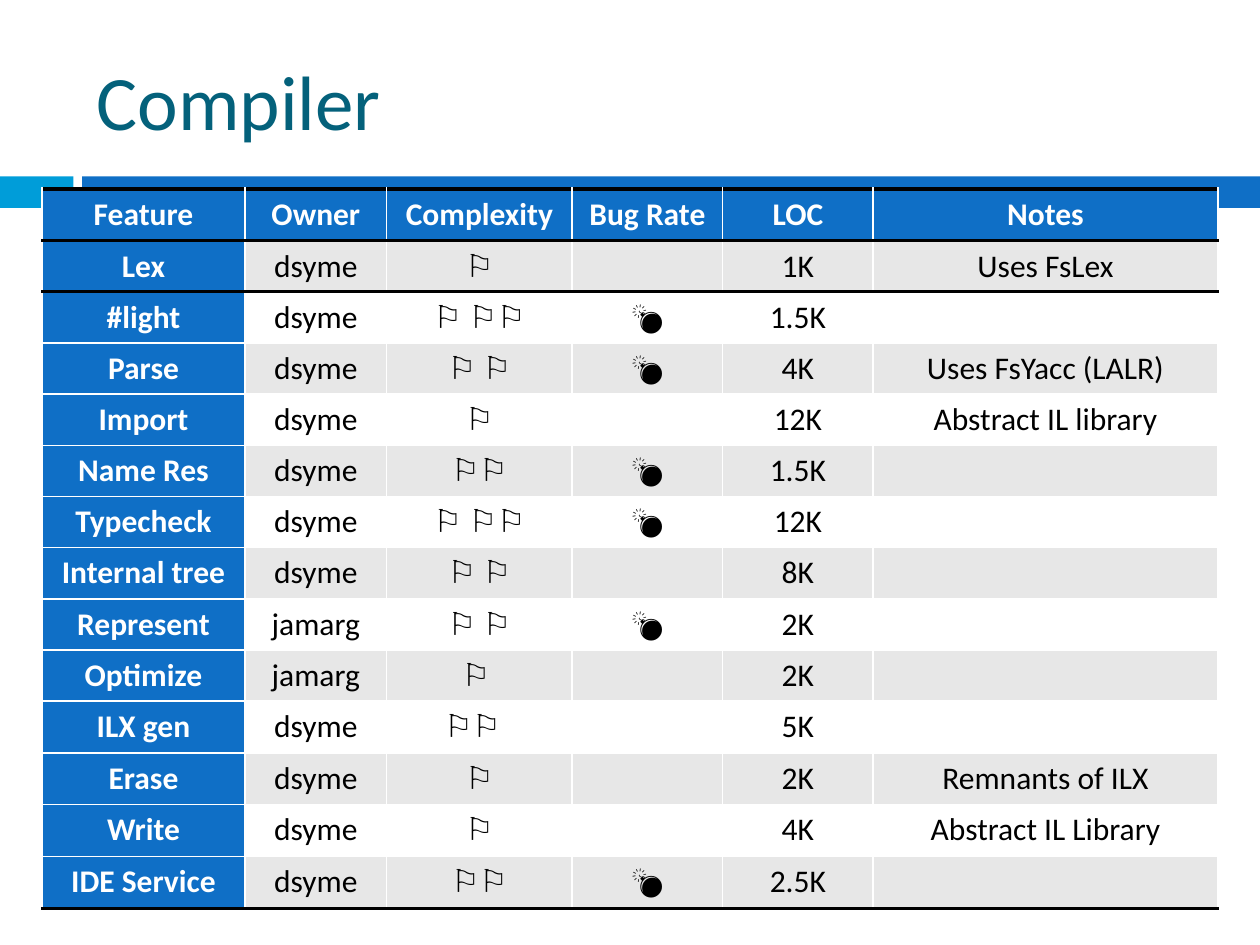
import pptx
import pptx.util
import pptx.dml.color
import pptx.enum.shapes
import pptx.enum.text
import pptx.oxml
import pptx.oxml.ns

Pt = pptx.util.Pt
RGBColor = pptx.dml.color.RGBColor
PP_ALIGN = pptx.enum.text.PP_ALIGN
MSO_ANCHOR = pptx.enum.text.MSO_ANCHOR

BLUE = RGBColor(0x0F, 0x6F, 0xC6)
CYAN = RGBColor(0x00, 0x9D, 0xD9)
TEAL = RGBColor(0x04, 0x61, 0x7B)
GREY = RGBColor(0xE7, 0xE7, 0xE7)
WHITE = RGBColor(0xFF, 0xFF, 0xFF)
BLACK = RGBColor(0x00, 0x00, 0x00)
FONT = "Calibri"

COLUMN_WIDTHS = [116, 81, 106, 86, 86, 197]
TALL_ROW, SHORT_ROW = 29.6, 29.25
TALL_ROWS = {0, 10, 11, 12, 13}
CELL_MARGIN = 7.2
# Extra right margin for flags set slightly left of centre
FLAG_NUDGES = {"Optimize": 4, "ILX gen": 8}

ROWS = [
    ("Feature", "Owner", "Complexity", "Bug Rate", "LOC", "Notes"),
    ("Lex", "dsyme", "⚐", "", "1K", "Uses FsLex"),
    ("#light", "dsyme", "⚐ ⚐⚐", "💣", "1.5K", ""),
    ("Parse", "dsyme", "⚐ ⚐", "💣", "4K", "Uses FsYacc (LALR)"),
    ("Import", "dsyme", "⚐", "", "12K", "Abstract IL library"),
    ("Name Res", "dsyme", "⚐⚐", "💣", "1.5K", ""),
    ("Typecheck", "dsyme", "⚐ ⚐⚐", "💣", "12K", ""),
    ("Internal tree", "dsyme", "⚐ ⚐", "", "8K", ""),
    ("Represent", "jamarg", "⚐ ⚐", "💣", "2K", ""),
    ("Optimize", "jamarg", "⚐", "", "2K", ""),
    ("ILX gen", "dsyme", "⚐⚐", "", "5K", ""),
    ("Erase", "dsyme", "⚐", "", "2K", "Remnants of ILX"),
    ("Write", "dsyme", "⚐", "", "4K", "Abstract IL Library"),
    ("IDE Service", "dsyme", "⚐⚐", "💣", "2.5K", ""),
]


def add_band(page, left, top, width, height):
    """Cyan block and blue bar, separated by a narrow gap."""
    block, gap = 42, 5
    parts = [(left, block, CYAN),
             (left + block + gap, width - block - gap, BLUE)]
    for start, length, color in parts:
        bar = page.shapes.add_shape(
            pptx.enum.shapes.MSO_SHAPE.RECTANGLE,
            Pt(start), Pt(top), Pt(length), Pt(height))
        bar.shadow.inherit = False
        bar.fill.solid()
        bar.fill.fore_color.rgb = color
        bar.line.fill.background()


def place_title(page, text, left, top, width, height):
    title = page.shapes.title
    title.left, title.top = Pt(left), Pt(top)
    title.width, title.height = Pt(width), Pt(height)
    frame = title.text_frame
    frame.text = text
    frame.vertical_anchor = MSO_ANCHOR.MIDDLE
    para = frame.paragraphs[0]
    para.alignment = PP_ALIGN.LEFT
    para.font.name = FONT
    para.font.size = Pt(44)
    para.font.color.rgb = TEAL


def add_border(cell, side):
    """Draw a black 2 pt rule; must run before the cell fill is set."""
    cell._tc.get_or_add_tcPr().append(pptx.oxml.parse_xml(
        f'<a:{side} {pptx.oxml.ns.nsdecls("a")} w="{Pt(2)}">'
        f'<a:solidFill><a:srgbClr val="{BLACK}"/></a:solidFill></a:{side}>'))


def format_cell(cell, text, row, column):
    heading = row == 0 or column == 0
    # Rules above and below the header and under the last row
    if row == 0:
        add_border(cell, "lnT")
    if row == 1:
        add_border(cell, "lnT")
    if row in (0, len(ROWS) - 1):
        add_border(cell, "lnB")
    cell.fill.solid()
    cell.fill.fore_color.rgb = BLUE if heading else GREY if row % 2 else WHITE
    cell.text_frame.text = text
    para = cell.text_frame.paragraphs[0]
    para.alignment = PP_ALIGN.CENTER
    para.font.name = FONT
    para.font.size = Pt(18)
    para.font.bold = heading
    para.font.color.rgb = WHITE if heading else BLACK


def add_feature_table(page, left, top):
    heights = [TALL_ROW if row in TALL_ROWS else SHORT_ROW
               for row in range(len(ROWS))]
    table = page.shapes.add_table(
        len(ROWS), len(COLUMN_WIDTHS), Pt(left), Pt(top),
        Pt(sum(COLUMN_WIDTHS)), Pt(sum(heights))).table
    for column, width in enumerate(COLUMN_WIDTHS):
        table.columns[column].width = Pt(width)
    for row, values in enumerate(ROWS):
        table.rows[row].height = Pt(heights[row])
        for column, text in enumerate(values):
            format_cell(table.cell(row, column), text, row, column)
        if values[0] in FLAG_NUDGES:
            table.cell(row, 2).margin_right = Pt(
                CELL_MARGIN + FLAG_NUDGES[values[0]])


def main():
    deck = pptx.Presentation()
    deck.slide_width, deck.slide_height = Pt(720), Pt(540)
    page = deck.slides.add_slide(deck.slide_layouts[5])
    add_band(page, 0, 100.8, 720, 18)
    place_title(page, "Compiler", 48, 18, 642, 78)
    add_feature_table(page, 24, 108)
    deck.save("out.pptx")


if __name__ == "__main__":
    main()
